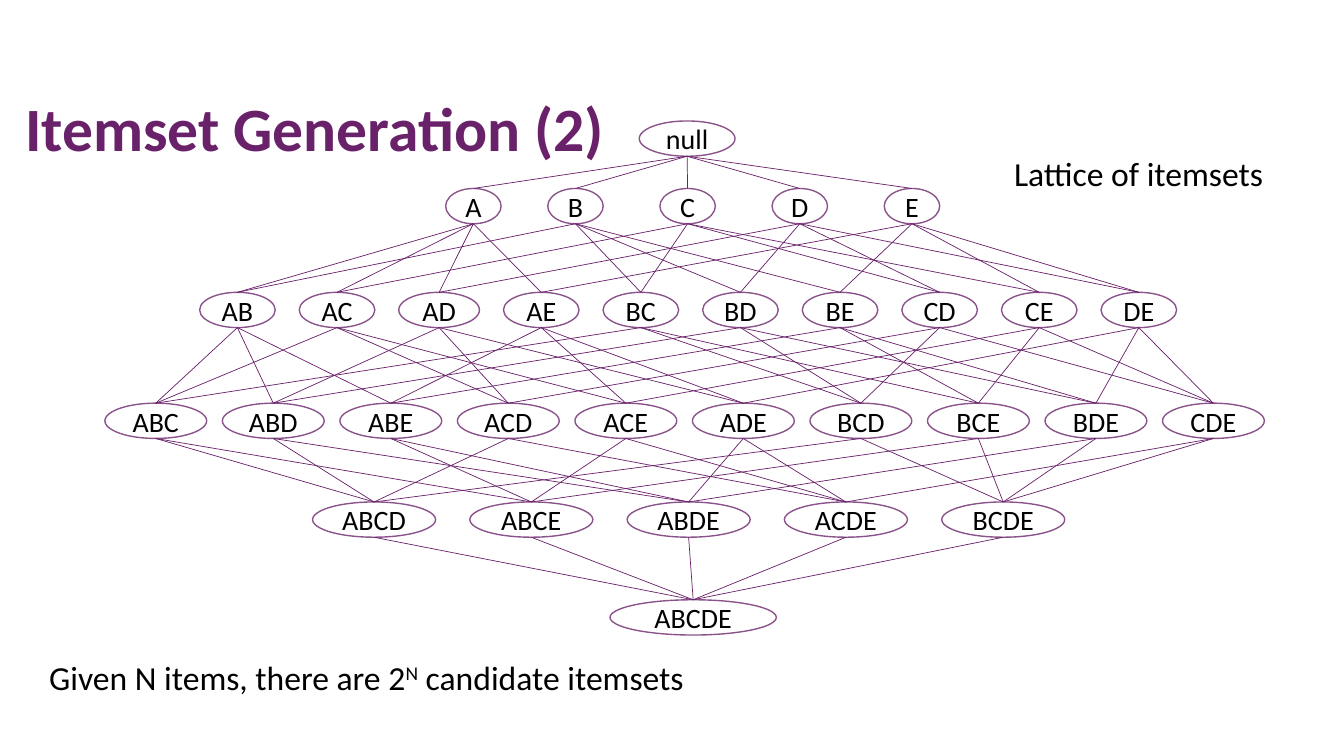
import itertools

import lxml.etree
import pptx
import pptx.dml.color
import pptx.enum.shapes
import pptx.enum.text
import pptx.oxml.ns
import pptx.util

Inches = pptx.util.Inches
COLORS = {"title": "69216A", "edge": "69216A", "outline": "8B538C", "text": "000000"}
FORMATS = {
    "title": {"size": pptx.util.Pt(44), "name": "Calibri", "bold": True},
    "note": {"size": pptx.util.Pt(24), "name": "Calibri"},
    "itemset": {"size": pptx.util.Pt(20), "name": "Calibri"},
}
FRAME = {
    "margin_left": 0, "margin_right": 0, "margin_top": 0, "margin_bottom": 0,
    "word_wrap": False, "vertical_anchor": pptx.enum.text.MSO_ANCHOR.MIDDLE,
}
ITEMS = "ABCDE"
NODE_HEIGHT = 0.35
LATTICE_BOX = (1.04, 1.2, 11.5, 5.1)
LEVELS = [
    {"left": 5.3, "right": 6.25, "top": 0, "width": 0.95},
    {"left": 3.28, "right": 8.28, "top": 0.67, "width": 0.55},
    {"left": 0.94, "right": 10.63, "top": 1.7, "width": 0.75},
    {"left": 0, "right": 11.5, "top": 2.8, "width": 1.01},
    {"left": 2.06, "right": 9.52, "top": 3.78, "width": 1.22},
    {"left": 5.01, "right": 6.66, "top": 4.75, "width": 1.65},
]
SPECIAL_WIDTHS = {"AD": 0.8}
SPECIAL_SHIFTS = {"A": 0.1}


def color(name):
    """Return the named colour."""
    return pptx.dml.color.RGBColor.from_string(COLORS[name])


def set_attributes(target, values):
    """Set every attribute in a dict of format values."""
    for name, value in values.items():
        setattr(target, name, value)


def add_run(paragraph, text, style, color_name="text"):
    """Append a formatted run to a paragraph."""
    run = paragraph.add_run()
    run.text = text
    set_attributes(run.font, FORMATS[style])
    run.font.color.rgb = color(color_name)
    return run


def add_itemset(shapes, text, left, top, width):
    """Draw one itemset as a labelled ellipse."""
    ellipse = shapes.add_shape(
        pptx.enum.shapes.MSO_SHAPE.OVAL,
        Inches(left), Inches(top), Inches(width), Inches(NODE_HEIGHT))
    ellipse.shadow.inherit = False
    ellipse.fill.background()
    ellipse.line.color.rgb = color("outline")
    ellipse.line.width = pptx.util.Pt(1)
    set_attributes(ellipse.text_frame, FRAME)
    paragraph = ellipse.text_frame.paragraphs[0]
    paragraph.alignment = pptx.enum.text.PP_ALIGN.CENTER
    add_run(paragraph, text, "itemset")
    return ellipse


def add_level(shapes, box, size, level):
    """Spread all itemsets of one size evenly along their row."""
    names = ["".join(letters) for letters in itertools.combinations(ITEMS, size)]
    widths = [SPECIAL_WIDTHS.get(name, level["width"]) for name in names]
    gap = (level["right"] - level["left"] - sum(widths)) / max(len(names) - 1, 1)
    left = box[0] + level["left"]
    nodes = {}
    for name, width in zip(names, widths):
        nodes[name] = add_itemset(
            shapes, name or "null", left + SPECIAL_SHIFTS.get(name, 0),
            box[1] + level["top"], width)
        left += width + gap
    return nodes


def add_edge(shapes, parent, child):
    """Join the bottom of a parent to the top of a child."""
    x, y = parent.left + parent.width // 2, parent.top + parent.height
    edge = shapes.add_connector(
        pptx.enum.shapes.MSO_CONNECTOR.STRAIGHT, x, y, x, y)
    edge.end_connect(child, 0)
    edge.line.color.rgb = color("edge")
    edge.line.width = pptx.util.Pt(0.5)
    lxml.etree.SubElement(edge._element.spPr, pptx.oxml.ns.qn("a:effectLst"))


def add_lattice(slide, box):
    """Draw every itemset and link each one to its one-item extensions."""
    shapes = slide.shapes.add_group_shape().shapes
    rows = [add_level(shapes, box, size, level) for size, level in enumerate(LEVELS)]
    for parents, children in itertools.pairwise(rows):
        for parent, child in itertools.product(parents, children):
            if set(parent) <= set(child):
                add_edge(shapes, parents[parent], children[child])


def add_title(slide, box, text):
    """Place and format the slide title."""
    title = slide.shapes.title
    title.left, title.top, title.width, title.height = map(Inches, box)
    set_attributes(title.text_frame, {
        "vertical_anchor": pptx.enum.text.MSO_ANCHOR.TOP,
        "auto_size": pptx.enum.text.MSO_AUTO_SIZE.NONE,
        "word_wrap": True})
    paragraph = title.text_frame.paragraphs[0]
    set_attributes(paragraph, {
        "alignment": pptx.enum.text.PP_ALIGN.LEFT, "line_spacing": 0.9})
    add_run(paragraph, text, "title", "title")


def add_note(slide, box, parts, wrap=True):
    """Write a line of text from pairs of wording and superscript flag."""
    frame = slide.shapes.add_textbox(*map(Inches, box)).text_frame
    frame.word_wrap = wrap
    for text, raised in parts:
        run = add_run(frame.paragraphs[0], text, "note")
        if raised:
            run.font._element.set("baseline", "30000")


def build_lattice_slide(presentation):
    """Build the itemset lattice slide."""
    slide = presentation.slides.add_slide(presentation.slide_layouts[5])
    add_lattice(slide, LATTICE_BOX)
    add_title(slide, (0.15, 0.92, 11.5, 1.38), "Itemset Generation (2)")
    add_note(slide, (0.39, 6.47, 7.63, 0.5), [
        ("Given N items, there are 2", False), ("N", True),
        (" candidate itemsets", False)])
    add_note(slide, (9.96, 1.47, 2.7, 0.5), [("Lattice of itemsets", False)], wrap=False)


def main():
    """Create and save the presentation."""
    presentation = pptx.Presentation()
    presentation.slide_width = Inches(13.33)
    presentation.slide_height = Inches(7.5)
    build_lattice_slide(presentation)
    presentation.save("out.pptx")


if __name__ == "__main__":
    main()
